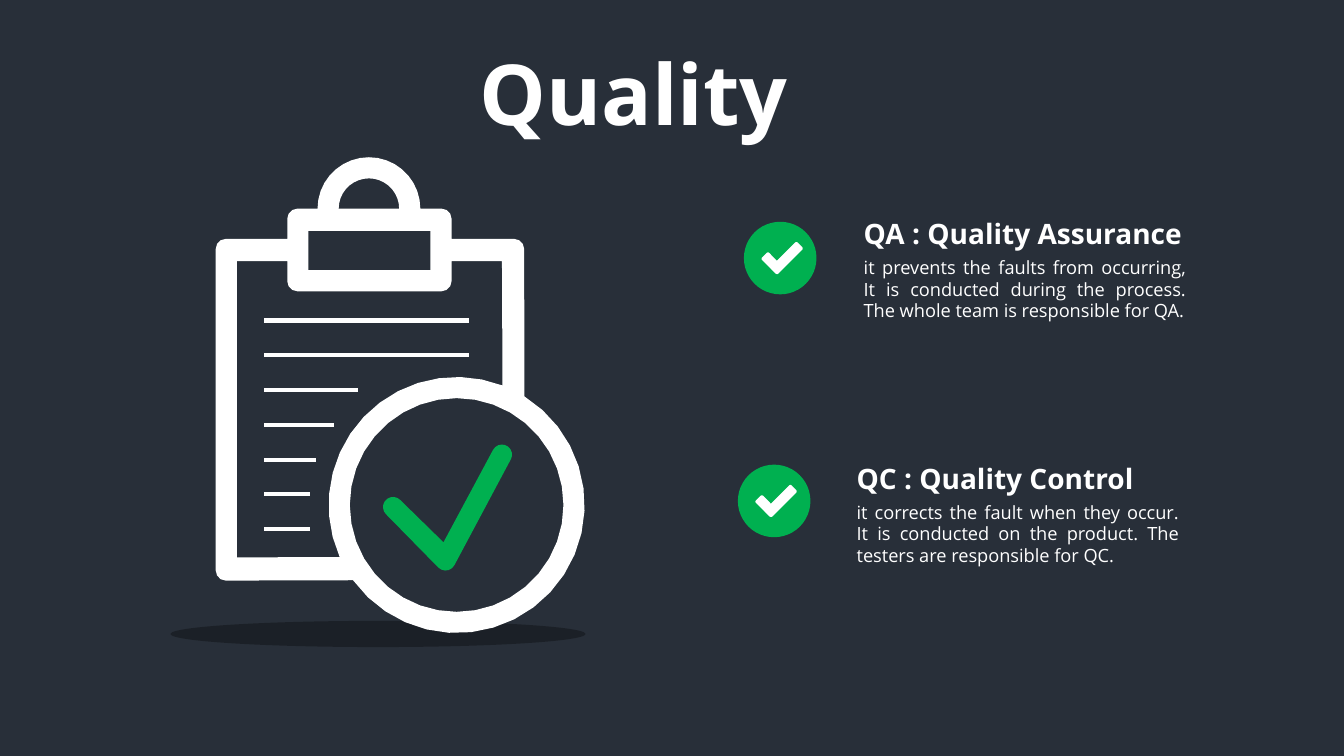
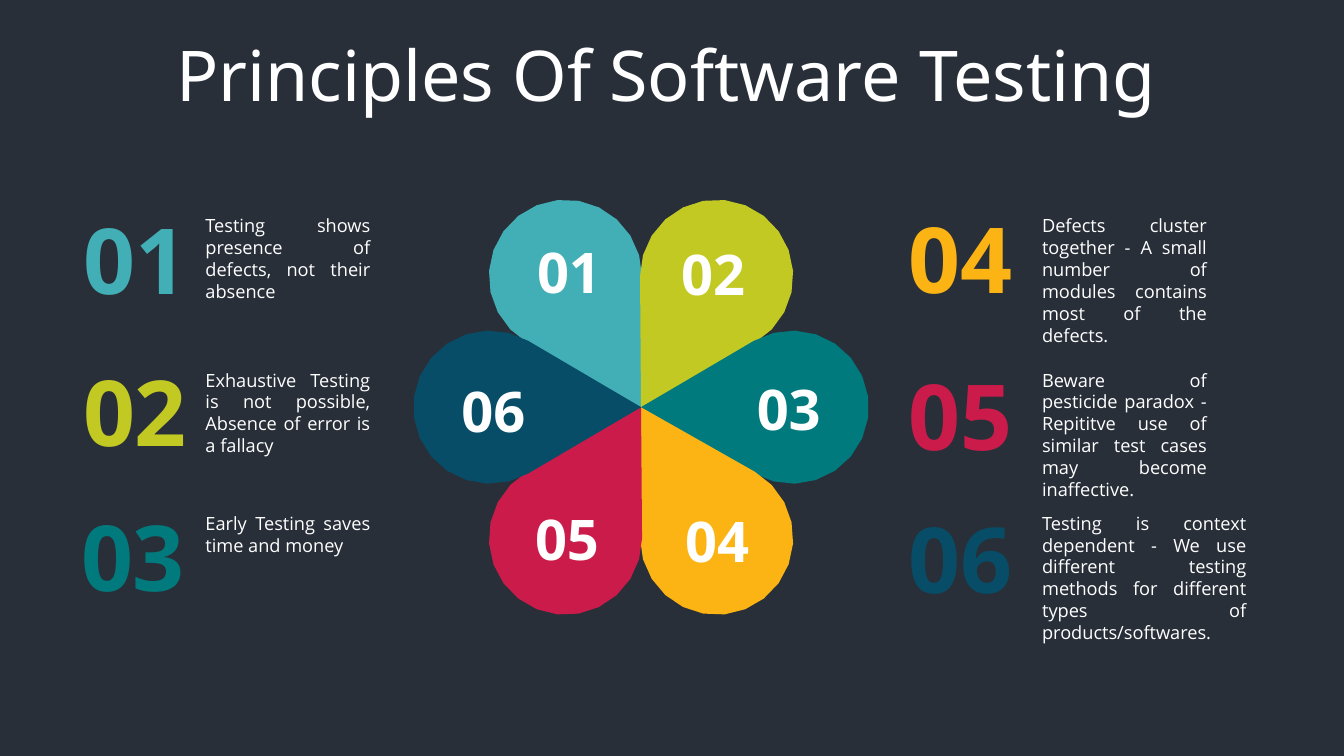
import math
from dataclasses import dataclass

from lxml import etree
from pptx import Presentation
from pptx import util as u
from pptx.dml.color import RGBColor
from pptx.enum import shapes, text
from pptx.oxml.ns import qn


@dataclass(frozen=True)
class Theme:
    background: str = "282F39"
    white: str = "FFFFFF"
    black: str = "000000"
    green: str = "00B050"
    aqua: str = "42AFB6"
    lime: str = "C2C923"
    teal: str = "007A7D"
    amber: str = "FCB414"
    crimson: str = "CB1B4A"
    navy: str = "074D67"
    heading_font: str = "Noto Sans"
    body_font: str = "Open Sans"
    body: int = 13
    heading: int = 20
    petal: int = 40
    number: int = 65
    principles_title: int = 50
    quality_title: int = 60
    rule: int = 3


THEME = Theme()
LEFT, CENTER, JUSTIFY = text.PP_ALIGN.LEFT, text.PP_ALIGN.CENTER, text.PP_ALIGN.JUSTIFY
OVAL = shapes.MSO_SHAPE.OVAL
ROUNDED = shapes.MSO_SHAPE.ROUNDED_RECTANGLE

# number, colour, petal angle, petal label corner, number box, body box, body
PRINCIPLES = [
    ("01", THEME.aqua, 120, (5.13, 2.31), (0.7, 1.97, 1.29, 1.19), (1.94, 2.08, 1.83, 0.76),
     "Testing shows presence of defects, not their absence"),
    ("02", THEME.lime, 60, (6.56, 2.33), (0.59, 3.48, 1.5, 1.19), (1.94, 3.61, 1.83, 0.76),
     "Exhaustive Testing is not possible, Absence of error is a fallacy"),
    ("03", THEME.teal, 0, (7.31, 3.67), (0.51, 4.92, 1.62, 1.19), (1.94, 5.03, 1.83, 0.54),
     "Early Testing saves time and money"),
    ("04", THEME.amber, 300, (6.6, 4.98), (8.75, 1.96, 1.55, 1.19), (10.24, 2.08, 1.83, 0.98),
     "Defects cluster together - A small number of modules contains most of the defects."),
    ("05", THEME.crimson, 240, (5.11, 4.96), (8.88, 3.52, 1.29, 1.19), (10.24, 3.61, 1.83, 0.98),
     "Beware of pesticide paradox - Repititve use of similar test cases may become inaffective."),
    ("06", THEME.navy, 180, (4.38, 3.69), (8.88, 4.94, 1.29, 1.19), (10.24, 5.03, 2.22, 0.98),
     "Testing is context dependent - We use different testing methods "
     "for different types of products/softwares."),
]


def inches(values):
    return [u.Inches(value) for value in values]


def write_text(shape, content, *, size, font=THEME.body_font, color=THEME.white,
               bold=False, align=LEFT):
    frame = shape.text_frame
    frame.word_wrap = True
    frame.auto_size = text.MSO_AUTO_SIZE.NONE
    frame.vertical_anchor = text.MSO_ANCHOR.TOP
    paragraph = frame.paragraphs[0]
    paragraph.alignment = align
    run = paragraph.add_run()
    run.text = content
    run.font.size = u.Pt(size)
    run.font.name = font
    run.font.bold = bold
    run.font.color.rgb = RGBColor.from_string(color)


def add_text(slide, box, content, **format_options):
    write_text(slide.shapes.add_textbox(*inches(box)), content, **format_options)


def set_title(slide, box, content, **format_options):
    title = slide.shapes.title
    title.left, title.top, title.width, title.height = inches(box)
    write_text(title, content, font=THEME.heading_font, align=CENTER, **format_options)


def paint(shape, color):
    shape.shadow.inherit = False
    shape.fill.solid()
    shape.fill.fore_color.rgb = RGBColor.from_string(color)
    shape.line.fill.background()
    return shape


def add_shape(parent, kind, box, color, rotation=0):
    shape = paint(parent.shapes.add_shape(kind, *inches(box)), color)
    shape.rotation = rotation
    return shape


def add_outline(parent, left, top, contours, color):
    """Fill closed contours, given relative to left and top; inner ones are holes."""
    builder = None
    for contour in contours:
        first, *rest = [tuple(inches((left + x, top + y))) for x, y in contour]
        if builder is None:
            builder = parent.shapes.build_freeform(*first)
        else:
            builder.move_to(*first)
        builder.add_line_segments(rest, close=True)
    paint(builder.convert_to_shape(), color)


def arc(x, y, radius, start, end, step=10):
    """Return points on a circle; angles run clockwise from the right, in degrees."""
    count = max(1, round(abs(end - start) / step))
    angles = [math.radians(start + (end - start) * i / count) for i in range(count + 1)]
    return [(x + radius * math.cos(angle), y + radius * math.sin(angle)) for angle in angles]


def corner(x, y, start, end):
    return arc(x, y, 0.1, start, end, step=30)


def add_rule(parent, left, top, width):
    rule = parent.shapes.add_connector(
        shapes.MSO_CONNECTOR.STRAIGHT, *inches((left, top, left + width, top)))
    rule.line.color.rgb = RGBColor.from_string(THEME.white)
    rule.line.width = u.Pt(THEME.rule)
    etree.SubElement(rule._element.spPr, qn("a:effectLst"))


def clipboard_contours():
    lens = (2.39, 3.45)
    silhouette = [
        *corner(0.1, 4.1, 90, 180), *corner(0.1, 0.91, 180, 270), (0.71, 0.81),
        *corner(0.81, 0.61, 180, 270), *arc(1.52, 0.51, 0.51, 180, 360),
        *corner(2.24, 0.61, 270, 360), (2.34, 0.81), *corner(2.96, 0.91, 270, 360),
        *arc(*lens, 1.27, -58, 144),
    ]
    ring_hole = arc(1.52, 0.51, 0.3, 180, 360)
    clip_hole = [(0.92, 0.73), (2.13, 0.73), (2.13, 1.12), (0.92, 1.12)]
    page_hole = [
        (0.21, 3.97), (0.21, 1.03), (0.71, 1.03), *corner(0.81, 1.23, 180, 90),
        *corner(2.24, 1.23, 90, 0), (2.34, 1.03), (2.84, 1.03),
        *arc(*lens, 1.27, -69, -204),
    ]
    lens_hole = arc(*lens, 1.06, 0, 350)
    return [silhouette, ring_hole, clip_hole, page_hole, lens_hole]


def add_clipboard(slide, left, top):
    shadow = add_shape(slide, OVAL, (left - 0.45, top + 4.6, 4.12, 0.26), THEME.black)
    color = shadow.fill._xPr.find(qn("a:solidFill"))[0]
    etree.SubElement(color, qn("a:alpha")).set("val", "30000")

    group = slide.shapes.add_group_shape()
    lower_fleck = [(0.02, 4), (0.05, 3.98), (0.11, 4.03), (0.06, 4.11), (0.02, 4.08)]
    upper_fleck = [(2.85, 1.41), (2.86, 1.34), (2.91, 1.35), (2.86, 1.41)]
    check = [*arc(1.76, 3.47, 0.1, 135, 315, 20), (2.26, 3.82),
             *arc(2.84, 2.95, 0.1, -152, 28, 20), *arc(2.28, 4, 0.1, 28, 135, 20)]
    for contours, fill in (([lower_fleck], THEME.white), ([upper_fleck], THEME.white),
                           ([check], THEME.green), (clipboard_contours(), THEME.white)):
        add_outline(group, left, top, contours, fill)
    for row, width in enumerate((2.03, 2.03, 0.93, 0.69, 0.52, 0.46, 0.46)):
        add_rule(group, left + 0.48, top + 1.62 + row * 2.07 / 6, width)


def add_check_badge(slide, left, top):
    badge = slide.shapes.add_group_shape()
    add_shape(badge, OVAL, (left, top, 0.72, 0.72), THEME.green)
    for x, y, width, rotation in ((0.17, 0.36, 0.22, 45), (0.24, 0.31, 0.37, 135)):
        add_shape(badge, ROUNDED, (left + x, top + y, width, 0.1), THEME.white, rotation)


def add_definition(slide, left, top, heading, body):
    add_text(slide, (left, top, 3.59, 0.44), heading,
             size=THEME.heading, font=THEME.heading_font, bold=True)
    add_text(slide, (left, top + 0.39, 3.39, 0.98), body, size=THEME.body, align=JUSTIFY)


def add_flower(slide, hub_x, hub_y):
    """Draw six drops, each a round end joined to the hub."""
    reach, radius = 1.5, 0.76
    group = slide.shapes.add_group_shape()
    for _, color, angle, *_ in PRINCIPLES:
        x = reach * math.cos(math.radians(angle))
        y = -reach * math.sin(math.radians(angle))
        rim = arc(x, y, radius, -angle - 120, -angle + 120, step=16)
        add_outline(group, hub_x, hub_y, [[(0, 0), *rim]], color)
    for number, _, _, label, *_ in PRINCIPLES:
        add_text(slide, (*label, 1.03, 0.77), number,
                 size=THEME.petal, bold=True, align=CENTER)


def add_title_slide(presentation):
    return presentation.slides.add_slide(presentation.slide_layouts[5])


def build_quality_slide(presentation):
    slide = add_title_slide(presentation)
    set_title(slide, (3.28, 0.36, 6.01, 1.11), "Quality",
              size=THEME.quality_title, bold=True)
    add_clipboard(slide, 2.14, 1.56)
    add_check_badge(slide, 7.38, 2.2)
    add_definition(slide, 8.47, 2.1, "QA : Quality Assurance",
                   "it prevents the faults from occurring, It is conducted during "
                   "the process. The whole team is responsible for QA.")
    add_check_badge(slide, 7.32, 4.61)
    add_definition(slide, 8.4, 4.53, "QC : Quality Control",
                   "it corrects the fault when they occur. It is conducted on the "
                   "product. The testers are responsible for QC.")


def build_principles_slide(presentation):
    slide = add_title_slide(presentation)
    set_title(slide, (1.32, 0.26, 10.58, 0.94), "Principles Of Software Testing",
              size=THEME.principles_title)
    add_flower(slide, 6.36, 4.04)
    for number, color, _, _, number_box, body_box, body in PRINCIPLES:
        add_text(slide, number_box, number,
                 size=THEME.number, color=color, bold=True, align=CENTER)
        add_text(slide, body_box, body, size=THEME.body, align=JUSTIFY)


def main():
    presentation = Presentation()
    presentation.slide_width, presentation.slide_height = inches((7.5 * 16 / 9, 7.5))
    background = presentation.slide_master.background.fill
    background.solid()
    background.fore_color.rgb = RGBColor.from_string(THEME.background)
    build_quality_slide(presentation)
    build_principles_slide(presentation)
    presentation.save("out.pptx")


if __name__ == "__main__":
    main()
